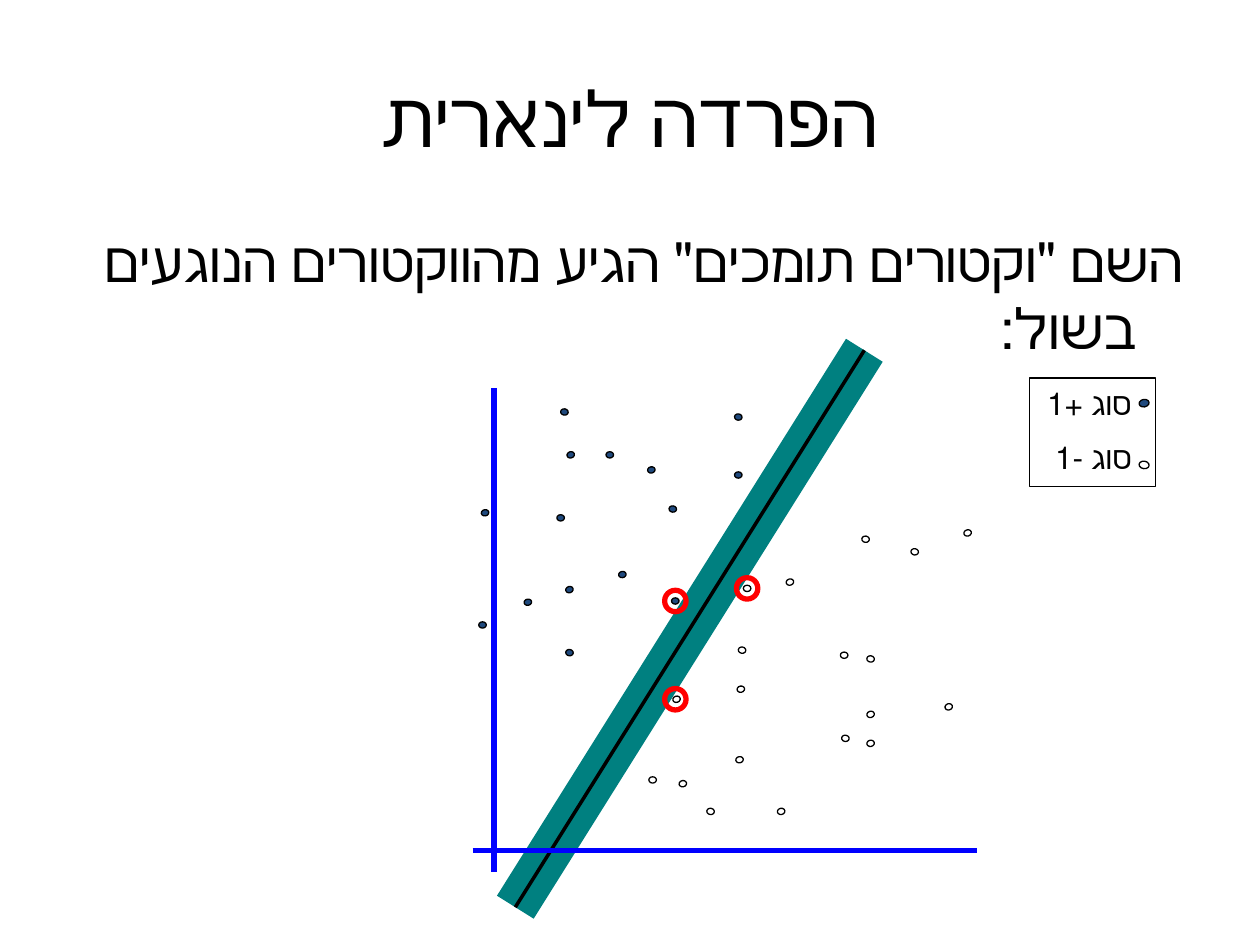
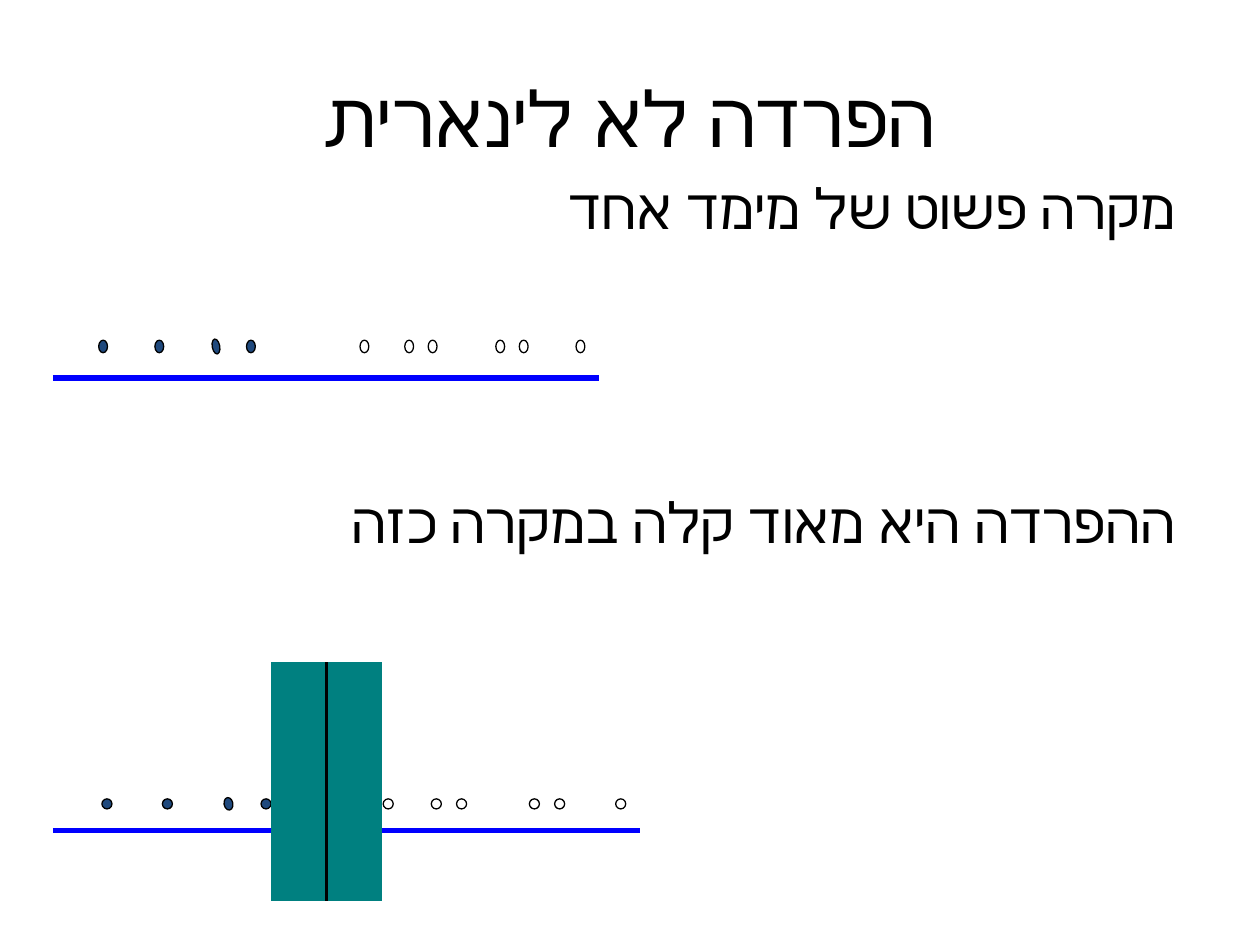
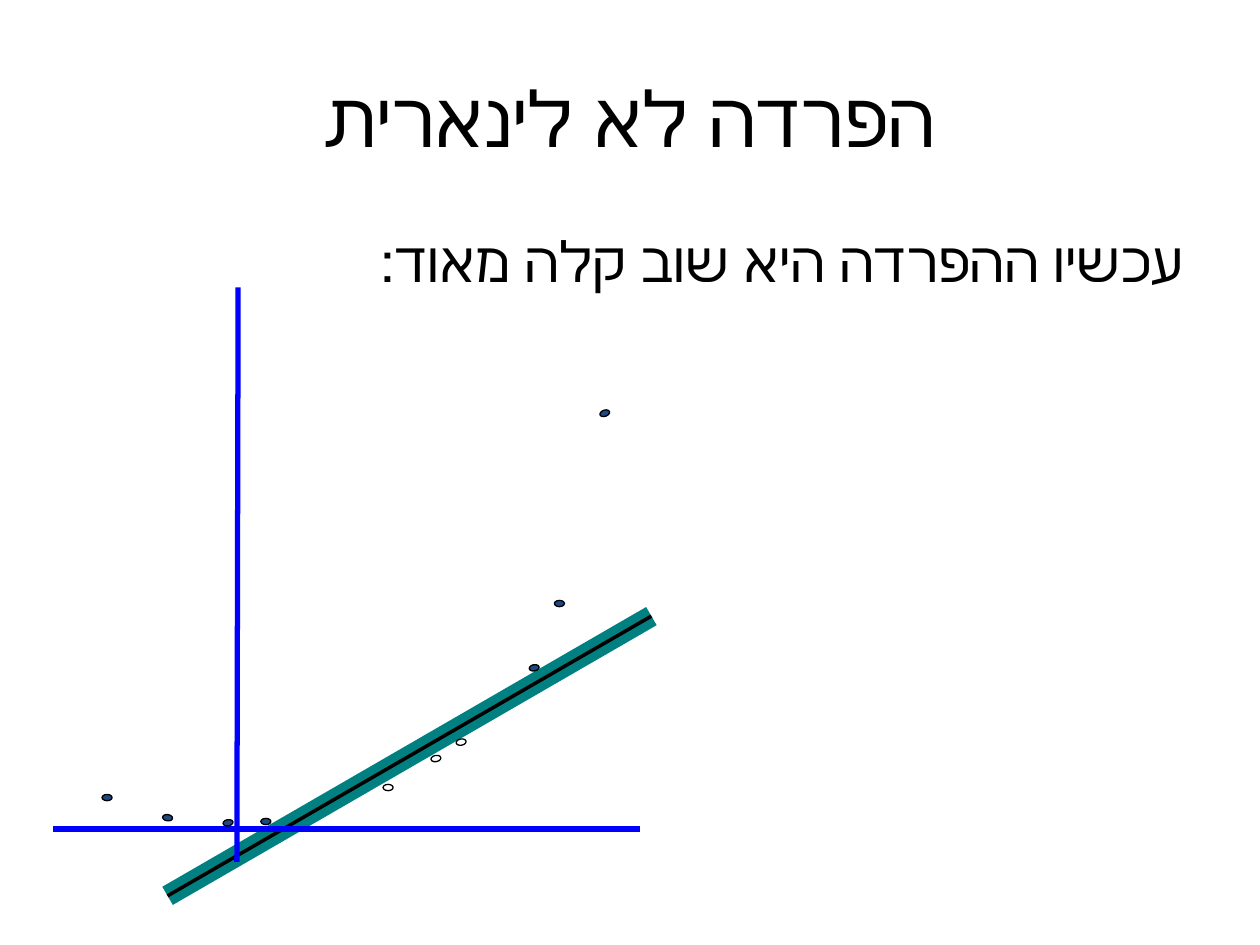
from pptx import Presentation
from pptx.dml.color import RGBColor
from pptx.enum.shapes import MSO_CONNECTOR as Link, MSO_SHAPE as Shape
from pptx.enum.text import MSO_ANCHOR as Anchor, PP_ALIGN as Align
from pptx.oxml.ns import qn
from pptx.util import Inches, Pt
from lxml.etree import SubElement

# Shared look
BLACK = RGBColor(0, 0, 0)
WHITE = RGBColor(255, 255, 255)
NAVY = RGBColor(0x1F, 0x49, 0x7D)
BLUE = RGBColor(0, 0, 255)
TEAL = RGBColor(0, 0x80, 0x80)
RED = RGBColor(255, 0, 0)
FONT = "Calibri"

# The grid has square cells: 10 columns by 7.5 rows
COLS, ROWS = 10, 7.5
CELL = Inches(1)
BODY = (0.5, 1.75, 9, 4.95)

# Points by tilt: (class +1, class -1), each as (column, row) of its middle
PLANE = {
    0: ([(3.83, 4.96), (5.86, 3.77), (4.84, 3.61), (5.36, 4.77), (4.45, 4.11)],
        [(5.18, 6.19), (5.93, 4.67), (6.7, 5.2)]),
    -18.6: ([(4.53, 3.61), (4.52, 4.68)],
            [(5.37, 5.55), (7.68, 4.23), (6.91, 5.67), (6.27, 4.62),
             (7.53, 5.61)]),
    8.3: ([(5.34, 4.04), (4.52, 5.18), (5.86, 3.31), (4.48, 3.27)],
          [(5.64, 6.44), (6.91, 5.23), (5.89, 5.16), (7.26, 4.38),
           (6.87, 4.28), (6.71, 5.86)]),
    -10.4: ([(4.94, 4.56), (4.19, 4.78), (5.17, 3.73), (3.85, 4.07)],
            [(6.2, 6.44), (5.87, 6.03), (5.88, 5.47), (5.42, 6.22),
             (6.91, 5.9)]),
}
CURVE = {
    0: ([(0.85, 6.33), (4.44, 4.79), (2.11, 6.52)], [(3.08, 6.25)]),
    -18.6: ([(4.8, 3.28)], []),
    8.3: ([(1.33, 6.49)], []),
    -10.4: ([(4.24, 5.3), (1.81, 6.53)], [(3.46, 6.02), (3.66, 5.89)]),
}
RINGS = [(5.36, 4.77), (5.36, 5.55), (5.93, 4.67)]

# One-dimensional points as percentages of the axis
PLUS = [9.2, 19.5, 36.3]
LONG = 29.9
MINUS = [57.1, 65.3, 69.6, 82, 86.3, 96.7]


def grid(*nums):
    return [round(n * CELL) for n in nums]


def write(par, text, size, align, gap=0):
    """Fill a right-to-left paragraph."""
    par.text = text
    par.alignment = align
    par.space_before = Pt(gap)
    par.font.size = Pt(size)
    par.font.name = FONT
    par.font.color.rgb = BLACK
    props = par._p.get_or_add_pPr()
    props.set("rtl", "1")
    return props


def start(deck, title):
    slide = deck.slides.add_slide(deck.slide_layouts[5])
    head = slide.shapes.title
    head.left, head.top, head.width, head.height = grid(0.5, 0.3, 9, 1.25)
    frame = head.text_frame
    frame.vertical_anchor = Anchor.MIDDLE
    write(frame.paragraphs[0], title, 44, Align.CENTER)
    return slide


def body(slide, box, *lines, gap=6):
    frame = slide.shapes.add_textbox(*grid(*box)).text_frame
    frame.word_wrap = True
    for i, text in enumerate(lines):
        par = frame.add_paragraph() if i else frame.paragraphs[0]
        props = write(par, text, 32, Align.RIGHT, gap if i else 0)
        props.set("marL", str(Inches(0.38)))
        props.set("indent", str(-Inches(0.38)))


def line(slide, tail, head, color=BLUE, width=3):
    link = slide.shapes.add_connector(
        Link.STRAIGHT, *grid(*tail, *head))
    link.line.color.rgb = color
    link.line.width = Pt(width)
    SubElement(link._element.spPr, qn("a:effectLst"))


def band(slide, tail, head, width):
    """Draw the margin with the separating line along its middle."""
    line(slide, tail, head, TEAL, width)
    line(slide, tail, head, BLACK, 2)


def oval(slide, mid, size, fill=None, edge=BLACK, width=0.75, tilt=0):
    (x, y), (w, h) = mid, size
    form = slide.shapes.add_shape(
        Shape.OVAL, *grid(x - w / 2, y - h / 2, w, h))
    form.shadow.inherit = False
    form.rotation = tilt
    if fill is None:
        form.fill.background()
    else:
        form.fill.solid()
        form.fill.fore_color.rgb = fill
    form.line.color.rgb = edge
    form.line.width = Pt(width)


def dots(slide, data, size):
    for tilt, sets in data.items():
        for fill, mids in zip((NAVY, WHITE), sets):
            for mid in mids:
                oval(slide, mid, size, fill, tilt=tilt)


def row(slide, end, axis, level, size):
    """Draw an axis with both classes in a row above it."""
    left = 0.42

    def spot(share):
        return left + share / 100 * (end - left), level

    line(slide, (left, axis), (end, axis))
    dots(slide, {0: [map(spot, PLUS), map(spot, MINUS)]}, size)
    wide, high = size
    oval(slide, spot(LONG), (wide - 0.01, high + 0.02), NAVY, tilt=-10.4)


def legend(slide):
    box = slide.shapes.add_shape(Shape.RECTANGLE, *grid(8.17, 3, 1, 0.86))
    box.shadow.inherit = False
    box.fill.solid()
    box.fill.fore_color.rgb = WHITE
    box.line.color.rgb = BLACK
    box.line.width = Pt(0.75)
    frame = box.text_frame
    frame.word_wrap = True
    frame.vertical_anchor = Anchor.TOP
    frame.margin_left, frame.margin_right = grid(0.05, 0.19)
    write(frame.paragraphs[0], "סוג +1", 18, Align.RIGHT)
    write(frame.add_paragraph(), "סוג -1", 18, Align.RIGHT, 9)
    dots(slide, {-10.4: ([(9.08, 3.2)], []), 8.3: ([], [(9.08, 3.69)])},
         (0.08, 0.06))


def linear(deck):
    slide = start(deck, "הפרדה לינארית")
    body(slide, BODY, 'השם "וקטורים תומכים" הגיע מהווקטורים הנוגעים בשול:')
    band(slide, (4.09, 7.2), (6.86, 2.78), 24.75)
    for mid in RINGS:
        oval(slide, mid, (0.17, 0.17), edge=RED, width=3)
    line(slide, (3.92, 3.08), (3.92, 6.92))
    line(slide, (3.75, 6.75), (7.75, 6.75))
    dots(slide, PLANE, (0.06, 0.05))
    legend(slide)


def simple(deck):
    slide = start(deck, "הפרדה לא לינארית")
    body(slide, (0.43, 1.33, 9, 5.37), "מקרה פשוט של מימד אחד",
         "ההפרדה היא מאוד קלה במקרה כזה", gap=141)
    row(slide, 5.08, 6.59, 6.38, (0.08, 0.08))
    band(slide, (2.59, 7.15), (2.59, 5.25), 63.25)
    row(slide, 4.75, 3, 2.75, (0.07, 0.1))


def lifted(deck):
    slide = start(deck, "הפרדה לא לינארית")
    body(slide, BODY, "עכשיו ההפרדה היא שוב קלה מאוד:")
    band(slide, (1.33, 7.11), (5.17, 4.89), 12)
    line(slide, (1.89, 2.28), (1.88, 6.84))
    line(slide, (0.42, 6.58), (5.08, 6.58))
    dots(slide, CURVE, (0.08, 0.05))


def main():
    deck = Presentation()
    deck.slide_width, deck.slide_height = grid(COLS, ROWS)
    linear(deck)
    simple(deck)
    lifted(deck)
    deck.save("out.pptx")


if __name__ == "__main__":
    main()
